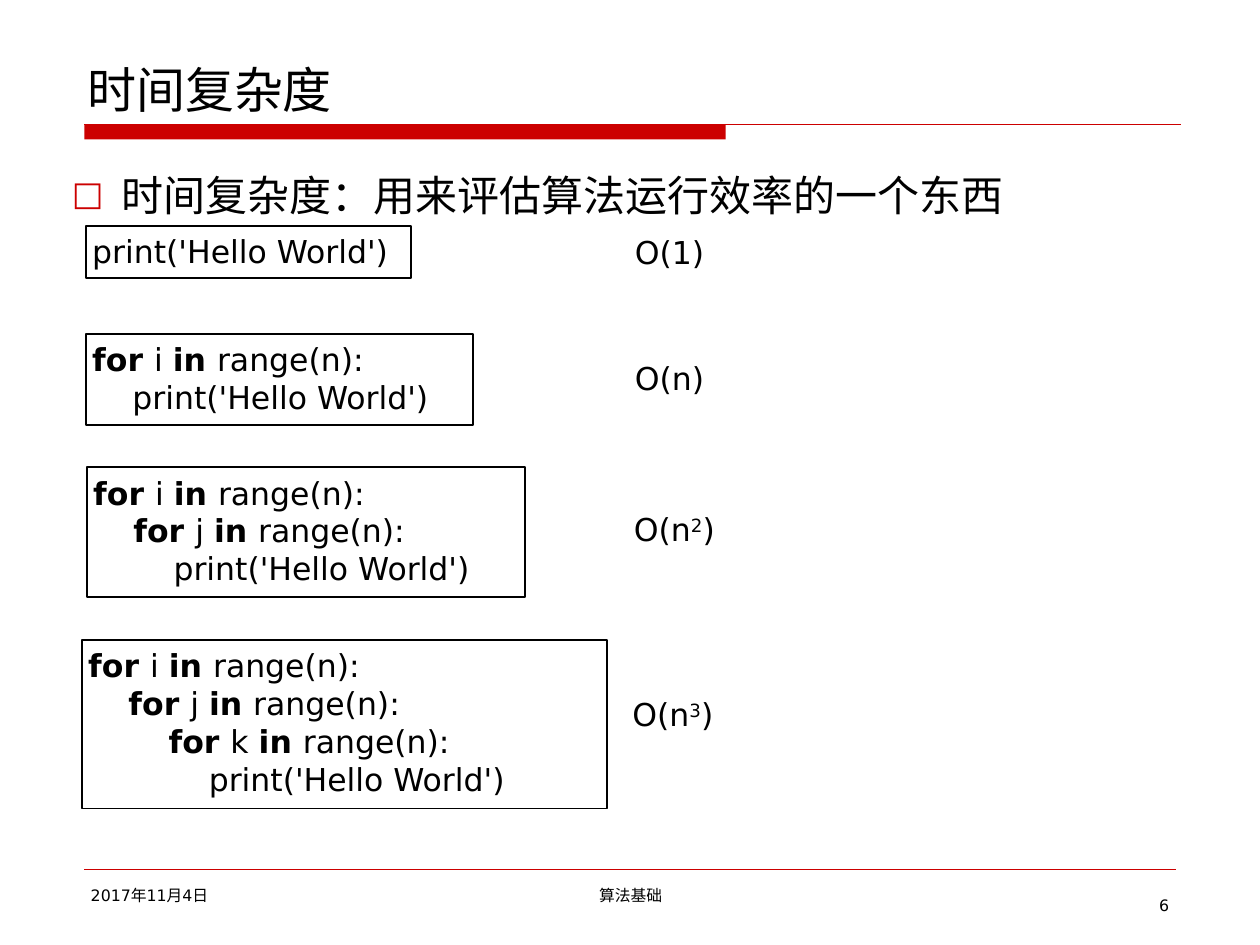
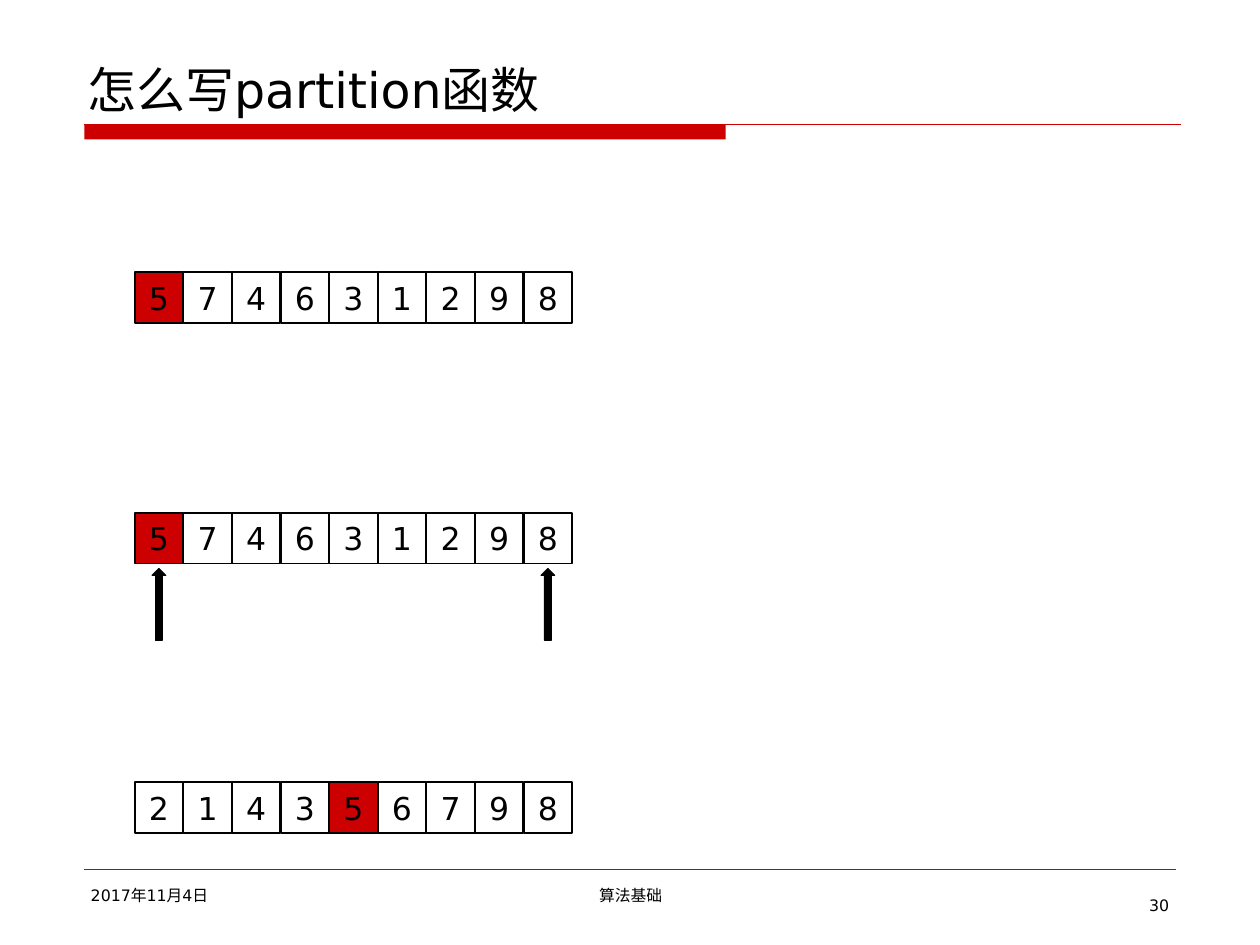
from lxml.etree import SubElement as Sub
from pptx import Presentation as Deck
from pptx.dml.color import RGBColor as Rgb
from pptx.enum.shapes import MSO_CONNECTOR as Link, MSO_SHAPE as Kind
from pptx.enum.text import MSO_ANCHOR as Anchor, PP_ALIGN as Align
from pptx.oxml.ns import qn
from pptx.util import Cm, Pt

RED = Rgb(0xCC, 0, 0)
BLACK = Rgb(0, 0, 0)
WHITE = Rgb(255, 255, 255)
LATIN, ASIAN = "DejaVu Sans", "Noto Sans CJK SC"

DATE, COURSE = "2017年11月4日", "算法基础"
COST_TITLE, COST_PAGE = "时间复杂度", 6
POINT = "时间复杂度：用来评估算法运行效率的一个东西"
CALL = "print('Hello World')"
KEYS = ("for", "in")
LOOPS = [
    {"vars": "", "code": (1.73, 4.55, 6.55), "cost": (12.67, 4.57), "order": ("O(1)",)},
    {"vars": "i", "code": (1.73, 6.73, 7.8), "cost": (12.67, 7.11), "order": ("O(n)",)},
    {"vars": "ij", "code": (1.75, 9.42, 8.84), "cost": (12.65, 10.16), "order": ("O(n", "2", ")")},
    {"vars": "ijk", "code": (1.65, 12.9, 10.59), "cost": (12.62, 13.89), "order": ("O(n", "3", ")")},
]
PART_TITLE, PART_PAGE = "怎么写partition函数", 30
PIVOT = 5
ROWS = [
    {"top": 5.49, "nums": (5, 7, 4, 6, 3, 1, 2, 9, 8), "marks": ()},
    {"top": 10.34, "nums": (5, 7, 4, 6, 3, 1, 2, 9, 8), "marks": (0, 8)},
    {"top": 15.77, "nums": (2, 1, 4, 3, 5, 6, 7, 9, 8), "marks": ()},
]
LEFT, STEP, CELL, TALL = 2.72, 0.98, 0.97, 1.02
ARROW, RISE, GAP = 0.28, 1.45, 0.1


def style(para, size, align=Align.LEFT):
    para.alignment = align
    font = para.font
    font.size, font.name = Pt(size), LATIN
    font.color.rgb = BLACK
    base = para._p.pPr.find(qn("a:defRPr"))
    Sub(base, qn("a:ea"), typeface=ASIAN)


def setup(shape, anchor=Anchor.TOP):
    frame = shape.text_frame
    frame.word_wrap = True
    frame.vertical_anchor = anchor
    frame.margin_left = frame.margin_right = Cm(0.13)
    frame.margin_top = frame.margin_bottom = Cm(0.13)
    return frame


def write(slide, box, text, size, align=Align.LEFT, anchor=Anchor.TOP):
    frame = setup(slide.shapes.add_textbox(*map(Cm, box)), anchor)
    para = frame.paragraphs[0]
    para.text = text
    style(para, size, align)
    return para


def block(slide, box, fill, line=BLACK, width=1, kind=Kind.RECTANGLE):
    shape = slide.shapes.add_shape(kind, *map(Cm, box))
    shape.shadow.inherit = False
    shape.fill.solid()
    shape.fill.fore_color.rgb = fill
    if line is None:
        shape.line.fill.background()
    else:
        shape.line.color.rgb = line
        shape.line.width = Pt(width)
    return shape


def rule(slide, left, right, top, width):
    line = slide.shapes.add_connector(Link.STRAIGHT, Cm(left), Cm(top), Cm(right), Cm(top))
    line.line.color.rgb = RED
    line.line.width = Pt(width)
    Sub(line._element.spPr, qn("a:effectLst"))


def start(deck, title, page):
    slide = deck.slides.add_slide(deck.slide_layouts[6])
    block(slide, (1.7, 2.51, 12.93, 0.3), RED, None)
    rule(slide, 1.7, 23.8, 2.51, 0.75)
    rule(slide, 1.7, 23.7, 17.53, 0.25)
    write(slide, (1.63, 0.84, 22.22, 1.68), title, 28, anchor=Anchor.BOTTOM)
    write(slide, (1.7, 17.73, 5.5, 0.7), DATE, 9)
    write(slide, (8.69, 17.73, 8.05, 0.7), COURSE, 9, Align.CENTER)
    write(slide, (22.2, 17.93, 1.5, 0.64), str(page), 9, Align.RIGHT)
    return slide


def bullet(para):
    props = para._p.get_or_add_pPr()
    props.set("marL", str(Cm(1)))
    props.set("indent", str(-Cm(1)))
    base = props.find(qn("a:defRPr"))
    color = Sub(props, qn("a:buClr"))
    Sub(color, qn("a:srgbClr"), val=str(RED))
    size = Sub(props, qn("a:buSzPct"), val="80000")
    face = Sub(props, qn("a:buFont"), typeface=LATIN)
    mark = Sub(props, qn("a:buChar"), char="□")
    for part in (color, size, face, mark):
        base.addprevious(part)
    para.space_before = Pt(5)


def code(slide, names, left, top, width):
    lines = [f"for {name} in range(n):" for name in names] + [CALL]
    high = 1.06 + 0.78 * len(names)
    frame = setup(block(slide, (left, top, width, high), WHITE))
    for depth, line in enumerate(lines):
        para = frame.add_paragraph() if depth else frame.paragraphs[0]
        style(para, 18)
        para._p.pPr.set("marL", str(Cm(0.81 * depth)))
        words = line.split()
        for nth, word in enumerate(words, 1):
            run = para.add_run()
            run.text = word + " " * (nth < len(words))
            run.font.bold = word in KEYS


def cost(slide, parts, left, top):
    para = write(slide, (left, top, 2.62, 1.04), parts[0], 18)
    for part in parts[1:]:
        run = para.add_run()
        run.text = part
        if part.isdigit():
            run._r.get_or_add_rPr().set("baseline", "30000")


def row(slide, top, nums, marks):
    for col, num in enumerate(nums):
        fill = RED if num == PIVOT else WHITE
        cell = block(slide, (LEFT + col * STEP, top, CELL, TALL), fill)
        para = setup(cell, Anchor.MIDDLE).paragraphs[0]
        para.text = str(num)
        style(para, 18, Align.CENTER)
    for col in marks:
        left = LEFT + col * STEP + (CELL - ARROW) / 2
        box = (left, top + TALL + GAP, ARROW, RISE)
        block(slide, box, BLACK, width=0.5, kind=Kind.UP_ARROW)


def main():
    deck = Deck()
    deck.slide_width, deck.slide_height = Cm(25.4), Cm(19.05)

    slide = start(deck, COST_TITLE, COST_PAGE)
    bullet(write(slide, (1.32, 3.28, 22.22, 13.79), POINT, 24))
    for loop in LOOPS:
        code(slide, loop["vars"], *loop["code"])
        cost(slide, loop["order"], *loop["cost"])

    slide = start(deck, PART_TITLE, PART_PAGE)
    for item in ROWS:
        row(slide, **item)

    deck.save("out.pptx")


if __name__ == "__main__":
    main()
